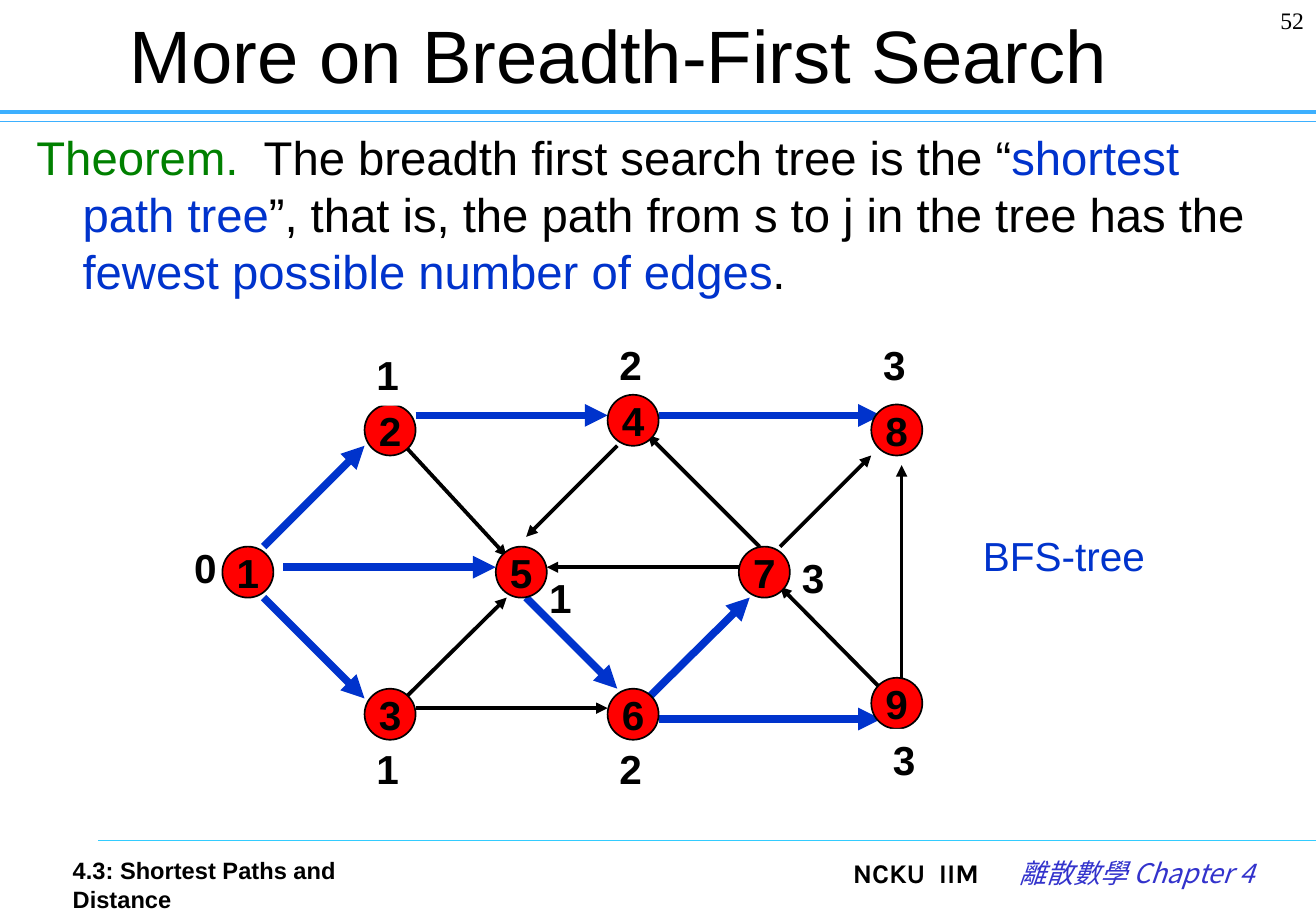
from typing import NamedTuple

from lxml.etree import SubElement
from pptx import Presentation
from pptx.dml.color import RGBColor
from pptx.enum.shapes import MSO_CONNECTOR, MSO_SHAPE
from pptx.enum.text import MSO_ANCHOR, PP_ALIGN
from pptx.oxml.ns import qn
from pptx.util import Inches, Pt

BLACK, BLUE, GREEN, RED, WHITE = "000000", "0033CC", "008000", "FF0000", "FFFFFF"
SIZE = 0.42  # node diameter


class Run(NamedTuple):
    text: str
    size: float
    color: str = BLACK
    bold: bool = False
    italic: bool = False
    font: str = "Arial"


class Node(NamedTuple):
    name: str
    x: float
    y: float


class Label(NamedTuple):
    text: str
    x: float
    y: float
    fill: bool = True
    front: bool = False


class Edge(NamedTuple):
    x1: float
    y1: float
    x2: float
    y2: float
    tree: bool = False


NODES = [
    Node("1", 1.83, 4.5), Node("2", 3, 3.33), Node("3", 3, 5.67),
    Node("4", 5, 3.25), Node("5", 4.08, 4.5), Node("6", 5, 5.67),
    Node("7", 6.08, 4.5), Node("8", 7.17, 3.33), Node("9", 7.17, 5.58),
]
LABELS = [
    Label("0", 1.5, 4.42, fill=False),
    Label("1", 3, 2.83, front=True), Label("1", 3, 6.08),
    Label("2", 5, 2.75), Label("1", 4.42, 4.67), Label("2", 5, 6.08),
    Label("3", 6.5, 4.5),
    Label("3", 7.17, 2.75, front=True), Label("3", 7.25, 6, front=True),
]
EDGES = [
    Edge(6.42, 4.5, 7.17, 3.75), Edge(6.25, 4.5, 5.33, 3.58),
    Edge(5.08, 3.67, 4.33, 4.42), Edge(3.33, 5.75, 4.17, 4.92),
    Edge(3.42, 5.83, 5, 5.83), Edge(7.25, 5.67, 6.42, 4.83),
    Edge(7.42, 5.58, 7.42, 3.83), Edge(6.08, 4.67, 4.5, 4.67),
    Edge(3.33, 3.67, 4.17, 4.58),
    Edge(2.17, 4.5, 3, 3.67, True), Edge(2.33, 4.67, 4.08, 4.67, True),
    Edge(2.17, 4.92, 3, 5.75, True), Edge(3.42, 3.42, 5, 3.42, True),
    Edge(4.33, 4.92, 5.08, 5.67, True), Edge(5.42, 3.42, 7.25, 3.42, True),
    Edge(5.33, 5.75, 6.17, 4.92, True), Edge(5.42, 5.92, 7.25, 5.92, True),
]

deck = Presentation()
deck.slide_width, deck.slide_height = Inches(10.83), Inches(7.5)
slide = deck.slides.add_slide(deck.slide_layouts[6])
shapes = slide.shapes


def rgb(code: str) -> RGBColor:
    return RGBColor.from_string(code)


def write(shape, runs: list[Run], align=PP_ALIGN.LEFT, anchor=MSO_ANCHOR.TOP,
          wrap: bool = True) -> None:
    frame = shape.text_frame
    frame.word_wrap, frame.vertical_anchor = wrap, anchor
    para = frame.paragraphs[0]
    para.alignment = align
    for item in runs:
        run = para.add_run()
        run.text = item.text
        font = run.font
        font.name, font.size = item.font, Pt(item.size)
        font.bold, font.italic = item.bold, item.italic
        font.color.rgb = rgb(item.color)
        SubElement(font._element, qn("a:ea")).set("typeface", item.font)


def text(x: float, y: float, w: float, h: float, runs: list[Run], **style):
    box = shapes.add_textbox(Inches(x), Inches(y), Inches(w), Inches(h))
    write(box, runs, **style)
    return box


def line(x1: float, y1: float, x2: float, y2: float, color: str,
         width: float, arrow: bool = False) -> None:
    rule = shapes.add_connector(MSO_CONNECTOR.STRAIGHT, Inches(x1), Inches(y1),
                                Inches(x2), Inches(y2))
    rule.line.color.rgb, rule.line.width = rgb(color), Pt(width)
    if arrow:
        SubElement(rule.line._get_or_add_ln(), qn("a:tailEnd")).set("type", "triangle")
    SubElement(rule._element.spPr, qn("a:effectLst"))


def label(item: Label) -> None:
    box = text(item.x, item.y, 0.33, 0.51, [Run(item.text, 24, bold=True)])
    if item.fill:
        box.fill.solid()
        box.fill.fore_color.rgb = rgb(WHITE)


def node(item: Node) -> None:
    disc = shapes.add_shape(MSO_SHAPE.OVAL, Inches(item.x), Inches(item.y),
                            Inches(SIZE), Inches(SIZE))
    disc.shadow.inherit = False
    disc.fill.solid()
    disc.fill.fore_color.rgb = rgb(RED)
    disc.line.color.rgb, disc.line.width = rgb(BLACK), Pt(1)
    write(disc, [Run(item.name, 24, bold=True)], align=PP_ALIGN.CENTER,
          anchor=MSO_ANCHOR.MIDDLE, wrap=False)


# Rules
line(0, 1, 10.83, 1, "3DB0FF", 0.75)
line(0, 0.92, 10.83, 0.92, "3DB0FF", 2.5)
line(0.81, 6.92, 10.83, 6.92, "33CCFF", 0.75)

# Title and page number
text(0.26, 0.01, 9.67, 0.86, [Run("More on Breadth-First Search", 44)],
     align=PP_ALIGN.CENTER, anchor=MSO_ANCHOR.MIDDLE)
text(9.93, 0, 0.9, 0.5, [Run("52", 14, font="Times New Roman")],
     align=PP_ALIGN.RIGHT)

# Theorem
body = text(0.26, 1.04, 10.25, 1.5, [
    Run("Theorem. ", 28, GREEN),
    Run(" The breadth first search tree is the “", 28),
    Run("shortest path tree", 28, BLUE),
    Run("”, that is, the path from s to j in the tree has the ", 28),
    Run("fewest possible number of edges", 28, BLUE),
    Run(".", 28),
])
frame = body.text_frame
frame.margin_left, frame.margin_top = Inches(0.04), Inches(0.02)
para = frame.paragraphs[0]
para.line_spacing = 1.0
props = para._p.get_or_add_pPr()
props.set("marL", str(Inches(0.38)))
props.set("indent", str(Inches(-0.38)))

# Graph
for item in LABELS:
    if not item.front:
        label(item)
for edge in EDGES:
    line(*edge[:4], BLUE if edge.tree else BLACK, 4.5 if edge.tree else 2.25, True)
for item in NODES:
    node(item)
for item in LABELS:
    if item.front:
        label(item)
text(7.99, 4.32, 1.55, 0.51, [Run("BFS-tree", 24, BLUE)], wrap=False)

# Footer
text(0.5, 7, 3.15, 0.33, [Run("4.3: Shortest Paths and Distance", 14, bold=True)])
text(6.92, 7, 1.3, 0.4, [Run("NCKU ", 16, bold=True, font="Karla"),
                         Run(" IIM", 16, bold=True, font="Karla")], wrap=False)
text(8.1, 7, 2.32, 0.5, [Run("離散數學 Chapter 4", 16, "3333CC", italic=True,
                             font="Noto Sans CJK SC")], align=PP_ALIGN.RIGHT)

deck.save("out.pptx")
